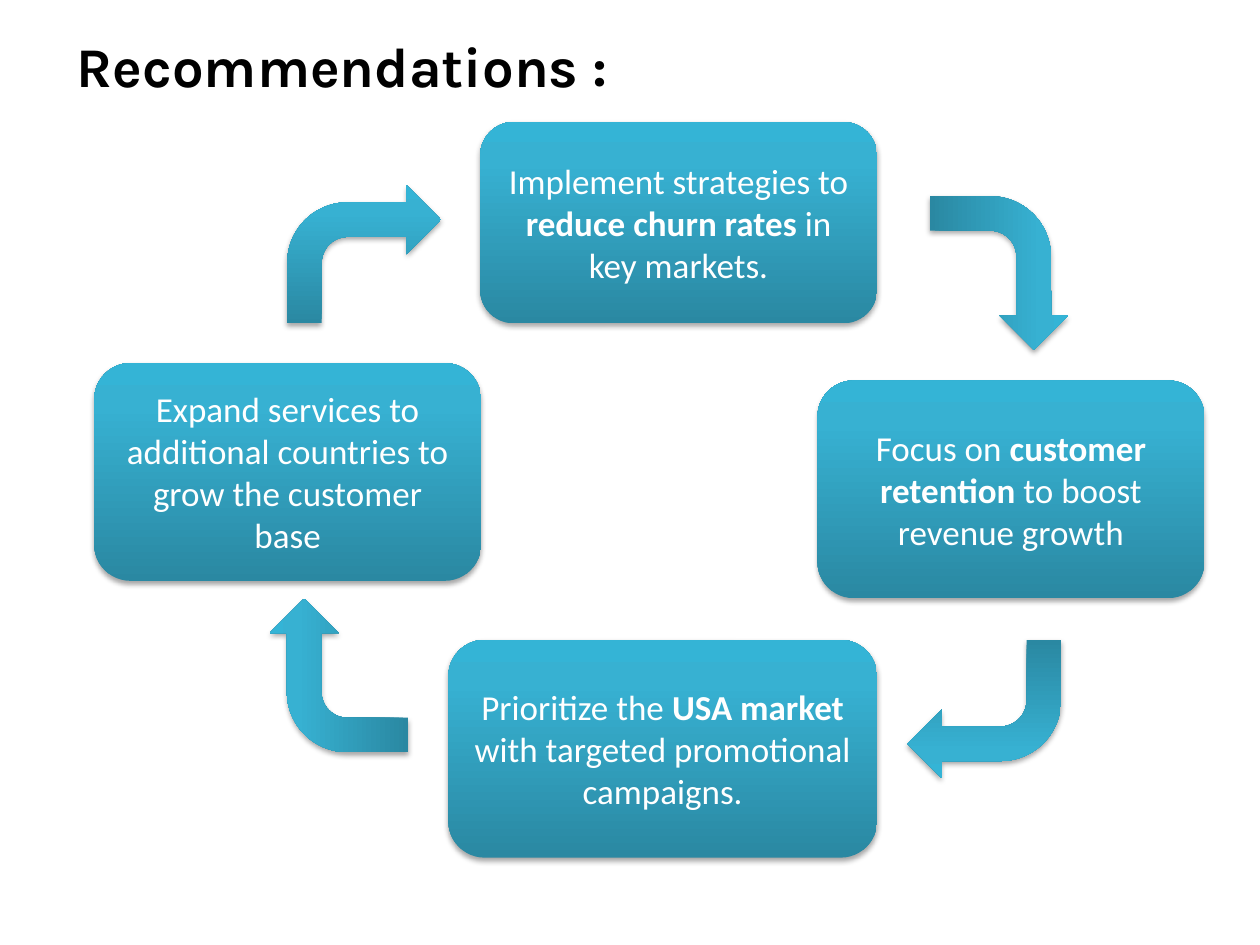
from copy import deepcopy

from lxml import etree
from pptx import Presentation
from pptx import util as u
from pptx.dml.color import RGBColor
from pptx.enum import shapes, text
from pptx.oxml import ns

WHITE = RGBColor(0xFF, 0xFF, 0xFF)
BLACK = RGBColor(0x00, 0x00, 0x00)
DEEP_TEAL = RGBColor(0x2A, 0x88, 0xA2)
TEAL = RGBColor(0x37, 0xB1, 0xD2)
LIGHT_TEAL = RGBColor(0x34, 0xB4, 0xD6)
GRADIENT = [(0, DEEP_TEAL), (0.8, TEAL), (1, LIGHT_TEAL)]


class CycleSlide:
    """Style and drawing methods for one slide."""

    TITLE_FONT = {"name": "Karla", "size": u.Pt(32), "bold": True}
    CARD_FONT = {"name": "Calibri", "size": u.Pt(20)}
    CARD_FRAME = {"word_wrap": True, "vertical_anchor": text.MSO_ANCHOR.MIDDLE}
    TITLE_FRAME = {"word_wrap": False,
                   "auto_size": text.MSO_AUTO_SIZE.SHAPE_TO_FIT_TEXT}
    SHADOW = {"blurRad": u.Pt(3.1), "dist": u.Pt(1.8), "dir": 90 * 60000,
              "rotWithShape": 0}

    def __init__(self, slide):
        self.slide = slide

    def apply(self, target, values):
        for name, value in values.items():
            setattr(target, name, value)

    def add_text(self, paragraph, content, font, color, bold=None):
        run = paragraph.add_run()
        run.text = content
        self.apply(run.font, font)
        if bold is not None:
            run.font.bold = bold
        run.font.color.rgb = color

    def add_shadow(self, shape):
        shape.shadow.inherit = False
        effects = shape._element.spPr.find(ns.qn("a:effectLst"))
        shadow = etree.SubElement(effects, ns.qn("a:outerShdw"))
        for name, value in self.SHADOW.items():
            shadow.set(name, str(int(value)))
        color = etree.SubElement(shadow, ns.qn("a:srgbClr"), val=str(BLACK))
        etree.SubElement(color, ns.qn("a:alpha"), val="35000")

    def block(self, kind, left, top, width, height):
        """Add a shape with the shared gradient and shadow."""
        shape = self.slide.shapes.add_shape(
            kind, u.Cm(left), u.Cm(top), u.Cm(width), u.Cm(height))
        shape.line.fill.background()
        shape.fill.gradient()
        shape.fill.gradient_angle = 90
        stops = shape._element.spPr.find(".//" + ns.qn("a:gsLst"))
        stops.append(deepcopy(stops[0]))
        for stop, (position, color) in zip(shape.fill.gradient_stops, GRADIENT):
            stop.position = position
            stop.color.rgb = color
        self.add_shadow(shape)
        return shape

    def card(self, left, top, width, height, *parts):
        """Add a rounded card; every second part is bold."""
        shape = self.block(shapes.MSO_SHAPE.ROUNDED_RECTANGLE,
                           left, top, width, height)
        self.apply(shape.text_frame, self.CARD_FRAME)
        paragraph = shape.text_frame.paragraphs[0]
        paragraph.alignment = text.PP_ALIGN.CENTER
        for index, part in enumerate(parts):
            self.add_text(paragraph, part, self.CARD_FONT, WHITE, index % 2 == 1)

    def arrow(self, left, top, rotation):
        shape = self.block(shapes.MSO_SHAPE.BENT_ARROW, left, top, 3.1, 2.79)
        shape.rotation = rotation

    def title(self, left, top, width, height, content):
        box = self.slide.shapes.add_textbox(
            u.Cm(left), u.Cm(top), u.Cm(width), u.Cm(height))
        self.apply(box.text_frame, self.TITLE_FRAME)
        self.add_text(box.text_frame.paragraphs[0], content,
                      self.TITLE_FONT, BLACK)


def main():
    presentation = Presentation()
    presentation.slide_width = u.Cm(25.4)
    presentation.slide_height = u.Cm(19.05)
    blank = presentation.slide_layouts[6]
    cycle = CycleSlide(presentation.slides.add_slide(blank))

    # Recommendation cards
    cycle.card(9.68, 2.46, 8, 4.06,
               "Implement strategies to ", "reduce churn rates", " in key markets.")
    cycle.card(1.9, 7.32, 7.8, 4.39,
               "Expand services to additional countries to grow the customer base")
    cycle.card(9.04, 12.9, 8.64, 4.39,
               "Prioritize the ", "USA market",
               " with targeted promotional campaigns.")
    cycle.card(16.48, 7.67, 7.8, 4.39,
               "Focus on ", "customer retention", " to boost revenue growth")

    # Clockwise arrows, each a quarter turn further
    corners = [(5.79, 3.73), (18.59, 4.11), (18.29, 12.9), (5.28, 12.22)]
    for turn, (left, top) in enumerate(corners):
        cycle.arrow(left, top, 90 * turn)

    # Title
    cycle.title(1.3, 0.51, 11.38, 1.63, "Recommendations :")

    presentation.save("out.pptx")


if __name__ == "__main__":
    main()
